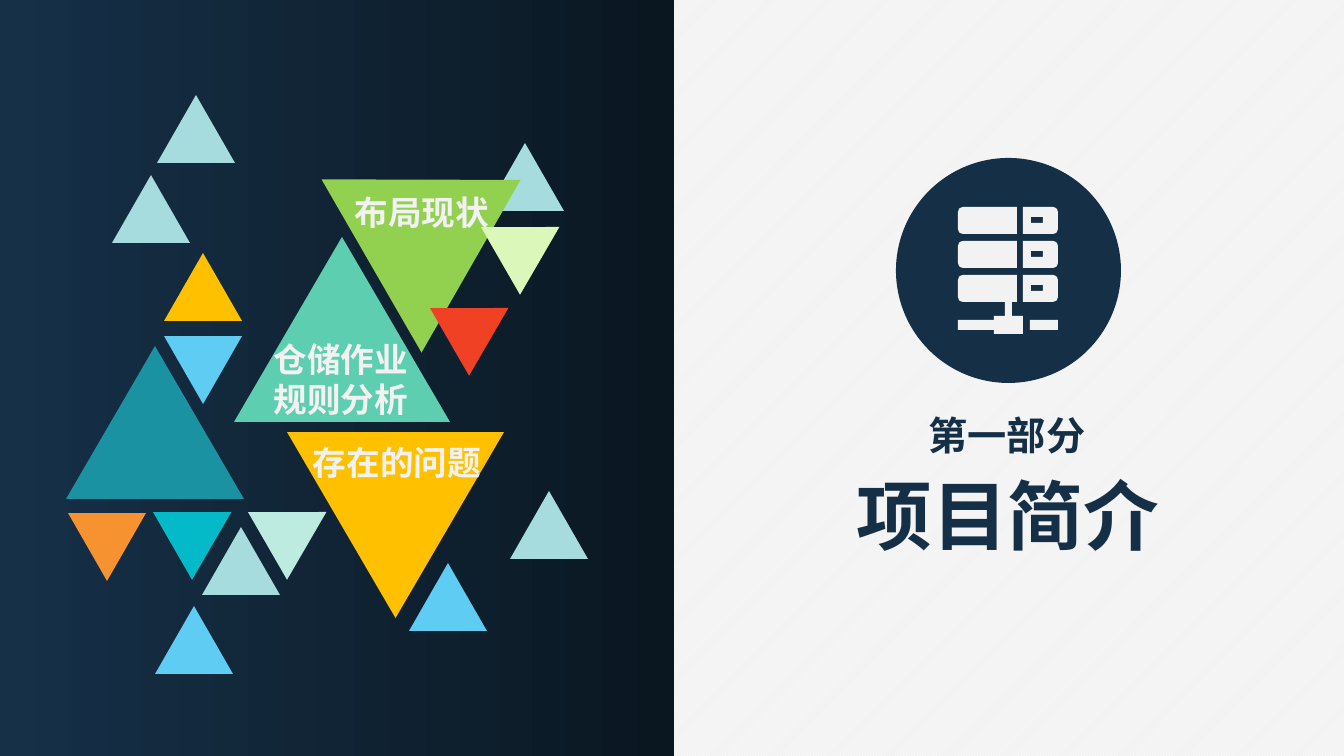
from lxml.etree import SubElement
from pptx import Presentation
from pptx.dml.color import RGBColor
from pptx.enum.dml import MSO_PATTERN
from pptx.enum.shapes import MSO_SHAPE
from pptx.enum.text import MSO_ANCHOR, MSO_AUTO_SIZE, PP_ALIGN
from pptx.oxml.ns import qn
from pptx.util import Emu, Pt

SCALE = 914400 / 100.8  # EMU in one px
FONT = "Noto Sans CJK SC"
COLORS = {
    "white": "FFFFFF", "light": "F2F2F2", "navy": "152F47",
    "panel_left": "163048", "panel_right": "0A1721",
    "mist": "A7DCDE", "mint": "BEEBDF", "jade": "5DCEAF", "teal": "1A92A2",
    "sky": "5ECCF3", "green": "92D050", "lime": "DCF7BA", "cyan": "05BAC8",
    "orange": "F69230", "amber": "FFC000", "red": "F14124",
}
RGB = {name: RGBColor.from_string(value) for name, value in COLORS.items()}


def place(shape, box, color=None):
    """Set the box in px; with a color, also a flat fill without line or shadow."""
    shape.left, shape.top, shape.width, shape.height = [Emu(round(n * SCALE)) for n in box]
    if color:
        shape.fill.solid()
        shape.fill.fore_color.rgb = RGB[color]
        shape.line.fill.background()
        shape.shadow.inherit = False


def write(shape, box, text, size, color):
    """Centred bold text, one paragraph for each line."""
    place(shape, box)
    frame = shape.text_frame
    frame.text = text
    frame.word_wrap = False
    frame.auto_size = MSO_AUTO_SIZE.SHAPE_TO_FIT_TEXT
    frame.vertical_anchor = MSO_ANCHOR.TOP
    for paragraph in frame.paragraphs:
        paragraph.alignment = PP_ALIGN.CENTER
        paragraph.space_before = Pt(0)
        font = paragraph.font
        font.name, font.size, font.bold = FONT, Pt(size), True
        font.color.rgb = RGB[color]
        SubElement(font._rPr, qn("a:ea")).set("typeface", FONT)


presentation = Presentation()
presentation.slide_width = Emu(round(1344 * SCALE))
presentation.slide_height = Emu(round(756 * SCALE))
slide = presentation.slides.add_slide(presentation.slide_layouts[0])

# Striped background
background = slide.background.fill
background.patterned()
background.pattern = MSO_PATTERN.LIGHT_UPWARD_DIAGONAL
background.fore_color.rgb = RGB["white"]
background.back_color.rgb = RGB["light"]

# Dark panel on the left
panel = slide.shapes.add_shape(MSO_SHAPE.RECTANGLE, 0, 0, 0, 0)
place(panel, (0, 0, 674, 756), "navy")
panel.fill.gradient()
panel.fill.gradient_angle = 0
for stop, color in zip(panel.fill.gradient_stops, ("panel_left", "panel_right")):
    stop.color.rgb = RGB[color]

# Section title
write(slide.shapes.title, (843, 464, 330, 102), "项目简介", 54, "navy")
write(slide.placeholders[1], (916, 406, 182, 57), "第一部分", 28, "navy")

# Server icon: three drives with slots, then the network cable
icon = slide.shapes.add_group_shape()
disc = icon.shapes.add_shape(MSO_SHAPE.OVAL, 0, 0, 0, 0)
place(disc, (896, 158, 225, 225), "navy")

rectangles = [(1005, 302, 1012, 316), (994, 316, 1023, 334),
              (958, 320, 994, 330), (1030, 320, 1058, 330)]
contours = []
corner = [(0, 5), (1, 2), (2, 1), (5, 0)]
for top in (207, 241, 275):
    bottom = top + 27
    for outer, inner, side in ((958, 1017, 1), (1058, 1023, -1)):
        upper = [(outer + side * x, top + y) for x, y in corner]
        lower = [(outer + side * x, bottom - y) for x, y in reversed(corner)]
        contours.append(upper + [(inner, top), (inner, bottom)] + lower)
    rectangles.append((1031, top + 10, 1043, top + 16))
for left, top, right, bottom in rectangles:
    contours.append([(left, top), (right, top), (right, bottom), (left, bottom)])

builder = icon.shapes.build_freeform(*contours[0][0], scale=SCALE)
for index, contour in enumerate(contours):
    if index:
        builder.move_to(*contour[0])
    builder.add_line_segments(contour[1:], close=True)
server = builder.convert_to_shape()
server.fill.solid()
server.fill.fore_color.rgb = RGB["light"]
server.line.fill.background()
server.shadow.inherit = False

# Triangles, back to front: left, top, size, rotation, color
SMALL = (78, 68)
triangles = [
    (112, 175, SMALL, 0, "mist"),
    (486, 143, SMALL, 0, "mist"),
    (258, 495, SMALL, 60, "mint"),
    (234, 237, (216, 185), 0, "jade"),
    (66, 346, (178, 153), 0, "teal"),
    (202, 527, SMALL, 0, "mist"),
    (155, 606, SMALL, 0, "sky"),
    (157, 95, SMALL, 0, "mist"),
    (346, 137, (200, 172), 60, "green"),
    (491, 210, SMALL, 60, "lime"),
    (163, 495, SMALL, 60, "cyan"),
    (68, 513, SMALL, 180, "orange"),
    (164, 253, SMALL, 0, "amber"),
    (164, 336, SMALL, 180, "sky"),
    (440, 291, SMALL, 60, "red"),
    (510, 491, SMALL, 0, "mist"),
    (287, 432, (217, 186), 180, "amber"),
    (409, 563, SMALL, 0, "sky"),
]
for left, top, size, rotation, color in triangles:
    triangle = slide.shapes.add_shape(MSO_SHAPE.ISOSCELES_TRIANGLE, 0, 0, 0, 0)
    place(triangle, (left, top, *size), color)
    triangle.rotation = rotation

# Labels on the large triangles, wide enough to keep each line whole
labels = [
    ((261, 334, 160, 92), "仓储作业\n规则分析"),
    ((342, 187, 160, 50), "布局现状"),
    ((300, 437, 194, 50), "存在的问题"),
]
for box, text in labels:
    write(slide.shapes.add_textbox(0, 0, 0, 0), box, text, 24, "light")

presentation.save("out.pptx")
